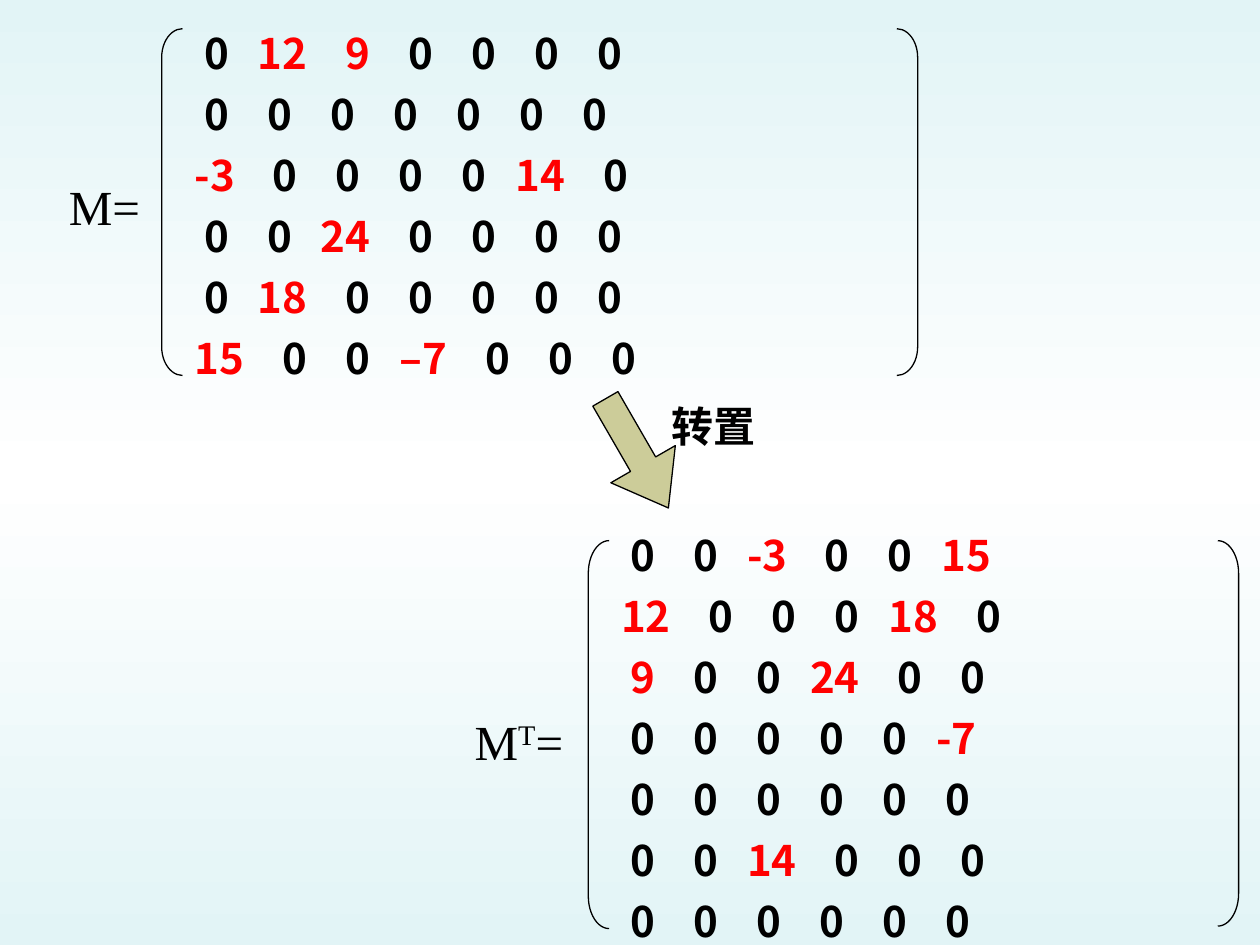
from copy import deepcopy

from lxml.etree import SubElement
from pptx import Presentation
from pptx.dml.color import RGBColor
from pptx.enum.shapes import MSO_SHAPE
from pptx.enum.text import MSO_ANCHOR, MSO_AUTO_SIZE, PP_ALIGN
from pptx.oxml.ns import qn
from pptx.util import Cm, Pt

COLORS = {"edge": "E2F4F6", "middle": "FFFFFF", "text": "000000",
          "nonzero": "FF0000", "arrow": "CCCC99"}
SERIF, SANS = "Times New Roman", "Noto Sans CJK SC"

# Widths in cm of the characters in a matrix entry and of the gaps between entries
CHARACTER_WIDTHS = {"-": 0.3, "–": 0.46}
DIGIT_WIDTH, ENTRY_GAP, SINGLE_DIGIT_PAD = 0.5, 0.58, 0.19

MATRICES = [
    {"label": [("M", False), ("T", True), ("=", False)],
     "label_box": (9.32, 14.22, 2.54, 1.45),
     "entries_box": (12.27, 10.49, 12.9, 8.64),
     "left": 11.86, "right": 24.55, "top": 10.9, "heights": (7.82, 7.77), "curve": 0.66,
     "rows": ["0 0 -3 0 0 15", "12 0 0 0 18 0", "9 0 0 24 0 0", "0 0 0 0 0 -7",
              "0 0 0 0 0 0", "0 0 14 0 0 0", "0 0 0 0 0 0"]},
    {"label": [("M=", False)],
     "label_box": (1.14, 3.43, 2.11, 1.45),
     "entries_box": (3.68, 0.38, 14.6, 7.42),
     "left": 3.26, "right": 18.08, "top": 0.58, "heights": (6.99, 6.99), "curve": 0.58,
     "rows": ["0 12 9 0 0 0 0", "0 0 0 0 0 0 0", "-3 0 0 0 0 14 0", "0 0 24 0 0 0 0",
              "0 18 0 0 0 0 0", "15 0 0 –7 0 0 0"]},
]


def write(para, text, size=24, font=SANS, color="text", bold=False, superscript=False):
    span = para.add_run()
    span.text = text
    span.font.size = Pt(size)
    span.font.name = font
    span.font.bold = bold
    span.font.color.rgb = RGBColor.from_string(COLORS[color])
    properties = span._r.get_or_add_rPr()
    SubElement(properties, qn("a:ea"), typeface=SANS)
    if superscript:
        properties.set("baseline", "30000")


def outline(shape, fill=None):
    shape.shadow.inherit = False
    shape.line.color.rgb = RGBColor.from_string(COLORS["text"])
    shape.line.width = Pt(0.75)
    if fill:
        shape.fill.solid()
        shape.fill.fore_color.rgb = RGBColor.from_string(COLORS[fill])
    else:
        shape.fill.background()


deck = Presentation()
deck.slide_width, deck.slide_height = Cm(25.4), Cm(19.05)
page = deck.slides.add_slide(deck.slide_layouts[5])

# Background: pale at top and bottom, white in the middle
background = page.background.fill
background.gradient()
background.gradient_angle = 270
stop_list = page._element.find(".//" + qn("a:gsLst"))
stop_list.insert(1, deepcopy(stop_list[0]))
for stop, position, color in zip(background.gradient_stops, (0, 0.5, 1),
                                 ("edge", "middle", "edge")):
    stop.position = position
    stop.color.rgb = RGBColor.from_string(COLORS[color])

title = page.shapes.title
title.left, title.top, title.width, title.height = Cm(13.54), Cm(7.82), Cm(2.11), Cm(1.27)
frame = title.text_frame
frame.auto_size = MSO_AUTO_SIZE.NONE
frame.vertical_anchor = MSO_ANCHOR.BOTTOM
frame.margin_left = frame.margin_top = frame.margin_right = frame.margin_bottom = 0
frame.paragraphs[0].alignment = PP_ALIGN.LEFT
write(frame.paragraphs[0], "转置", font=SERIF, bold=True)

arrow = page.shapes.add_shape(MSO_SHAPE.DOWN_ARROW, Cm(12.09), Cm(7.87), Cm(1.5), Cm(2.54))
arrow.rotation = 330
arrow.adjustments[0], arrow.adjustments[1] = 0.39, 0.68
outline(arrow, fill="arrow")

for matrix in MATRICES:
    group = page.shapes.add_group_shape()

    bracket_width = 0.42
    for kind, side, height in zip((MSO_SHAPE.LEFT_BRACKET, MSO_SHAPE.RIGHT_BRACKET),
                                  ("left", "right"), matrix["heights"]):
        bracket = group.shapes.add_shape(kind, Cm(matrix[side]), Cm(matrix["top"]),
                                         Cm(bracket_width), Cm(height))
        bracket.adjustments[0] = matrix["curve"] / bracket_width
        outline(bracket)

    label = group.shapes.add_textbox(*map(Cm, matrix["label_box"]))
    label.text_frame.word_wrap = True
    for text, raised in matrix["label"]:
        write(label.text_frame.paragraphs[0], text, size=28, font=SERIF, superscript=raised)

    entries = group.shapes.add_textbox(*map(Cm, matrix["entries_box"]))
    frame = entries.text_frame
    frame.word_wrap = True
    frame.margin_top = Cm(0.18)
    for index, row in enumerate(matrix["rows"]):
        para = frame.paragraphs[0] if index == 0 else frame.add_paragraph()
        para.line_spacing = Pt(28.86)
        para.space_before = Pt(6 if index else 0)
        tabs = SubElement(para._p.get_or_add_pPr(), qn("a:tabLst"))
        position = 0
        for entry in row.split():
            if len(entry) == 1:
                position += SINGLE_DIGIT_PAD
            if position:
                SubElement(tabs, qn("a:tab"), pos=str(Cm(position)), algn="l")
            write(para, "\t" + entry if position else entry, bold=True,
                  color="text" if entry == "0" else "nonzero")
            position += ENTRY_GAP + sum(CHARACTER_WIDTHS.get(character, DIGIT_WIDTH)
                                        for character in entry)

deck.save("out.pptx")
